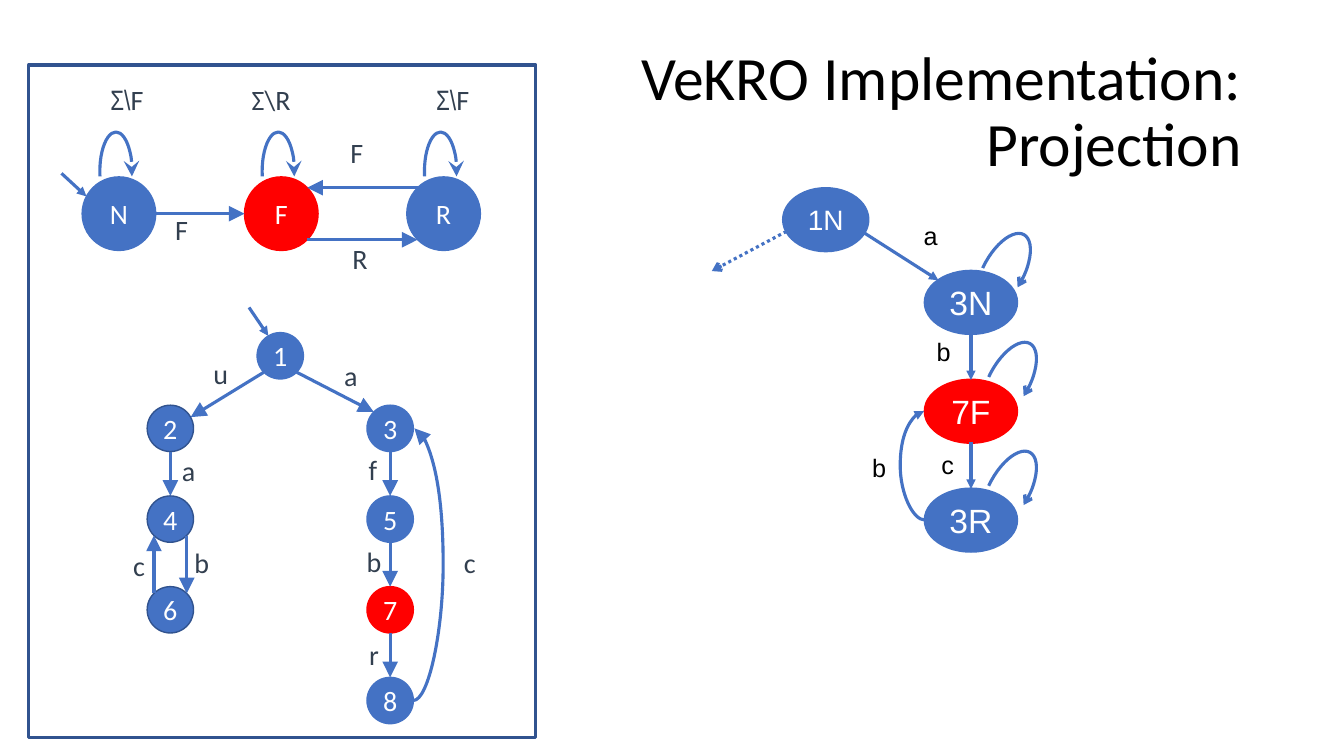
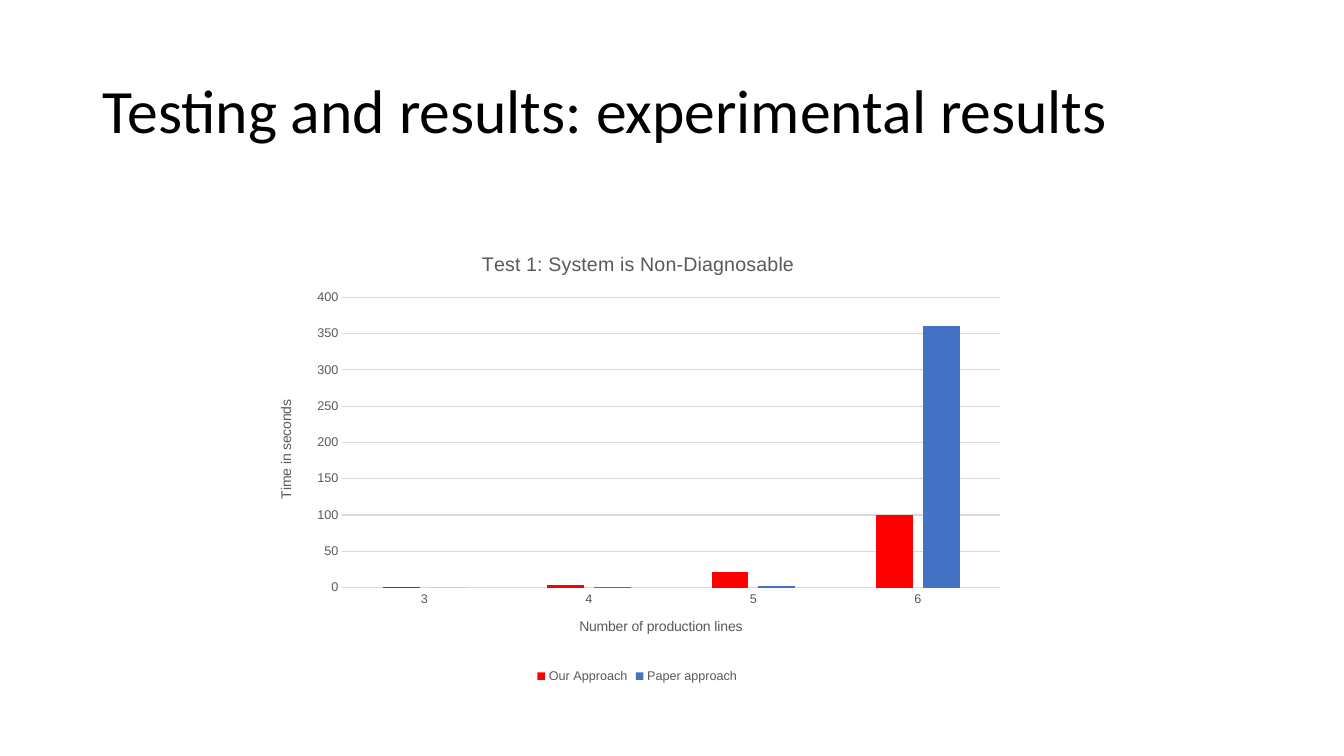
"""Build two slides: state machines with their projection, and a test result chart."""
import math
from dataclasses import dataclass
from typing import Any, NamedTuple

import pptx
import pptx.chart.data
import pptx.dml.color
import pptx.enum.chart
import pptx.enum.dml
import pptx.enum.shapes
import pptx.enum.text
import pptx.oxml
import pptx.oxml.ns
import pptx.util

RGB = pptx.dml.color.RGBColor
BLUE = RGB(0x44, 0x72, 0xC4)
NAVY = RGB(0x31, 0x53, 0x8F)
RED = RGB(0xFF, 0x00, 0x00)
SLATE = RGB(0x32, 0x3F, 0x4F)
GRAY = RGB(0x59, 0x59, 0x59)
GRID_GRAY = RGB(0xD9, 0xD9, 0xD9)
WHITE = RGB(0xFF, 0xFF, 0xFF)
BLACK = RGB(0, 0, 0)
Inches, Pt = pptx.util.Inches, pptx.util.Pt
Align = pptx.enum.text.PP_ALIGN
Preset = pptx.enum.shapes.MSO_SHAPE
Link = pptx.enum.shapes.MSO_CONNECTOR
qn = pptx.oxml.ns.qn


class Point(NamedTuple):
    x: float
    y: float


class Grid(NamedTuple):
    left: float
    top: float
    col: float
    row: float

    def at(self, col: float, row: float) -> Point:
        return Point(self.left + col * self.col, self.top + row * self.row)


MONITOR = Grid(1.18, 2.12, 1.61, 1)
TREE = Grid(1.69, 3.35, 1.09, 0.9)
PROJECTION = Grid(8.19, 3, 1.44, 1.08)


@dataclass(frozen=True)
class Node:
    text: str
    center: Point
    w: float
    h: float
    fill: RGB = BLUE
    line: RGB | None = None
    line_pt: float = 1
    size: float = 20
    font: str = "Calibri"

    def rim(self, angle: float) -> Point:
        a = math.radians(angle)
        return Point(self.center.x + self.w / 2 * math.cos(a),
                     self.center.y + self.h / 2 * math.sin(a))

    def off(self, dx: float, dy: float) -> Point:
        return Point(self.center.x + dx, self.center.y + dy)


@dataclass(frozen=True)
class Edge:
    start: Point
    end: Point
    head: str = "triangle"
    size: str = "lg"
    bulge: float = 0
    dash: bool = False


class Label(NamedTuple):
    runs: tuple[tuple[str, str], ...]
    center: Point
    size: float = 20
    color: RGB = SLATE


def state(text: str, col: float, row: float, fill: RGB = BLUE) -> Node:
    return Node(text, MONITOR.at(col, row), 0.73, 0.73, fill)


def step(text: str, col: float, row: float, fill: RGB = BLUE, line: RGB | None = None) -> Node:
    return Node(text, TREE.at(col, row), 0.46, 0.46, fill, line)


def pair(text: str, col: float, row: float, fill: RGB = BLUE, w: float = 0.91,
         size: float = 24) -> Node:
    return Node(text, PROJECTION.at(col, row), w, 0.62, fill, None, 2, size, "Arial")


NODES = {n.text: n for n in (
    state("N", 0, 0), state("F", 1, 0, RED), state("R", 2, 0),
    step("1", 1, 0.2), step("2", 0, 1, line=NAVY), step("4", 0, 2, line=NAVY),
    step("6", 0, 3, line=NAVY), step("3", 2, 1), step("5", 2, 2),
    step("7", 2, 3, RED), step("8", 2, 4),
    pair("1N", 0, -0.76, w=0.84, size=20), pair("3N", 1, 0),
    pair("7F", 1, 1, RED), pair("3R", 1, 2))}


def join(src: str, out: float, dst: str, into: float, **kw: Any) -> Edge:
    return Edge(NODES[src].rim(out), NODES[dst].rim(into), **kw)


DOWN = (("2", "4", "lg"), ("3", "5", "lg"), ("5", "7", "lg"), ("7", "8", "lg"),
        ("3N", "7F", "med"), ("7F", "3R", "med"))
EDGES = [join(a, 90, b, 270, size=size) for a, b, size in DOWN] + [
    join("N", 0, "F", 180), join("F", 45, "R", 135), join("R", 225, "F", 315),
    join("1", 135, "2", 331), join("1", 45, "3", 225),
    join("4", 45, "6", 315), join("6", 225, "4", 135),
    join("8", 0, "3", 0, bulge=0.3),
    join("1N", 25, "3N", 225, size="med"),
    join("3R", 180, "7F", 180, size="med", bulge=-0.25),
    Edge(NODES["1"].off(-0.31, -0.48), NODES["1"].rim(239), size="med"),
    Edge(NODES["N"].off(-0.57, -0.4), NODES["N"].rim(208), size="med"),
    Edge(NODES["1N"].rim(158), NODES["1N"].off(-1.13, 0.51), "arrow", "med", dash=True)]

LOOPS = [(NODES[n].off(-0.03, -0.42), 0.32, 0.78, 0, "stealth", "lg") for n in "NFR"] + [
    (NODES[n].off(dx, -0.3), 0.4, 0.85, 28.9, "arrow", "med")
    for n, dx in (("3N", 0.32), ("7F", 0.38), ("3R", 0.38))]

LABELS = [Label(((t, "Calibri"),), Point(x, y)) for t, x, y in (
    ("F", 1.8, 2.27), ("F", 3.54, 1.51), ("R", 3.57, 2.56), ("Σ\\R", 2.69, 0.99),
    ("u", 2.19, 3.7), ("a", 3.48, 3.72), ("a", 1.87, 4.67), ("b", 2, 5.58),
    ("c", 1.38, 5.61), ("f", 3.7, 4.66), ("b", 3.71, 5.57), ("r", 3.71, 6.49),
    ("c", 4.66, 5.58))] + [
    Label((("Σ\\", "Arial Narrow"), ("F", "Calibri")), Point(x, 0.99)) for x in (1.26, 4.49)] + [
    Label(((t, "Arial"),), Point(x, y), 18, BLACK) for t, x, y in (
        ("a", 9.23, 2.34), ("b", 9.36, 3.49), ("c", 9.4, 4.61), ("b", 8.72, 4.64))]


def write(p: Any, text: str, *, size: float, color: RGB, font: str = "Calibri",
          align: Any = Align.CENTER) -> None:
    r = p.add_run()
    r.text = text
    r.font.size, r.font.name, r.font.bold = Pt(size), font, False
    r.font.color.rgb = color
    p.alignment = align


def box(center: Point, w: float, h: float) -> list[int]:
    return [Inches(v) for v in (center.x - w / 2, center.y - h / 2, w, h)]


def bare_frame(sp: Any) -> Any:
    tf = sp.text_frame
    tf.margin_left = tf.margin_right = tf.margin_top = tf.margin_bottom = 0
    tf.word_wrap = False
    tf.vertical_anchor = pptx.enum.text.MSO_ANCHOR.MIDDLE
    return tf


def add_outline(s: Any, preset: Any, place: list[int], color: RGB, width: float) -> Any:
    sp = s.shapes.add_shape(preset, *place)
    sp.shadow.inherit = False
    sp.fill.background()
    sp.line.color.rgb, sp.line.width = color, Pt(width)
    return sp


def add_head(sp: Any, kind: str, size: str) -> None:
    ln = sp.line._get_or_add_ln()
    ln.append(ln.makeelement(qn("a:tailEnd"), {"type": kind, "w": size, "len": size}))


def add_node(s: Any, n: Node) -> None:
    sp = add_outline(s, Preset.OVAL, box(n.center, n.w, n.h), n.line or n.fill, n.line_pt)
    sp.fill.solid()
    sp.fill.fore_color.rgb = n.fill
    write(bare_frame(sp).paragraphs[0], n.text, size=n.size, color=WHITE, font=n.font)


def add_edge(s: Any, e: Edge) -> None:
    nudge = math.copysign(0.01, e.bulge) if e.bulge else 0
    sp = s.shapes.add_connector(
        Link.CURVE if e.bulge else Link.STRAIGHT,
        *(Inches(v) for v in (*e.start, e.end.x + nudge, e.end.y)))
    pr = sp._element.spPr
    if e.bulge:
        guides = pr.find(qn("a:prstGeom")).get_or_add_avLst()
        ratio = round(e.bulge / nudge * 100000)
        guides.append(guides.makeelement(qn("a:gd"), {"name": "adj1", "fmla": f"val {ratio}"}))
    sp.line.color.rgb, sp.line.width = BLUE, Pt(2.25)
    if e.dash:
        sp.line.dash_style = pptx.enum.dml.MSO_LINE.ROUND_DOT
    add_head(sp, e.head, e.size)
    pr.append(pr.makeelement(qn("a:effectLst"), {}))


def add_loop(s: Any, center: Point, w: float, h: float, turn: float, head: str, size: str) -> None:
    sp = add_outline(s, Preset.ARC, box(center, w, h), BLUE, 2.25)
    sp.adjustments[0], sp.adjustments[1] = 97.34, 10.59
    sp.rotation = turn
    add_head(sp, head, size)


def add_label(s: Any, label: Label) -> None:
    sp = s.shapes.add_textbox(*box(label.center, 0.5, 0.4))
    p = bare_frame(sp).paragraphs[0]
    for text, font in label.runs:
        write(p, text, size=label.size, color=label.color, font=font)


def add_titled_slide(prs: Any, text: str, left: float, width: float, align: Any) -> Any:
    s = prs.slides.add_slide(prs.slide_layouts[5])
    sp = s.shapes.title
    sp.left, sp.top, sp.width, sp.height = (Inches(v) for v in (left, 0.4, width, 1.45))
    tf = sp.text_frame
    tf.margin_left = tf.margin_right = tf.margin_top = tf.margin_bottom = Inches(0.1)
    tf.auto_size, tf.word_wrap = pptx.enum.text.MSO_AUTO_SIZE.NONE, True
    tf.vertical_anchor = pptx.enum.text.MSO_ANCHOR.MIDDLE
    p = tf.paragraphs[0]
    p.line_spacing = 0.9
    write(p, text, size=44, color=BLACK, align=align)
    return s


def pin(el: Any, index: int, **shares: float) -> None:
    for old in el.findall(qn("c:layout")):
        el.remove(old)
    layout = el.makeelement(qn("c:layout"), {})
    manual = layout.makeelement(qn("c:manualLayout"), {})
    layout.append(manual)
    modes = {"xMode": "edge", "yMode": "edge"}
    if "w" in shares:
        modes = {"layoutTarget": "inner"} | modes
    for tag, val in (modes | shares).items():
        manual.append(manual.makeelement(qn(f"c:{tag}"), {"val": str(val)}))
    el.insert(index, layout)


def style_axis(axis: Any, title: str, x: float, y: float) -> None:
    axis.has_title = True
    write(axis.axis_title.text_frame.paragraphs[0], title, size=10, color=GRAY, font="Arial")
    pin(axis.axis_title._element, 1, x=x, y=y)
    axis.major_tick_mark = axis.minor_tick_mark = pptx.enum.chart.XL_TICK_MARK.NONE
    style_font(axis.tick_labels.font)


def style_font(font: Any) -> None:
    font.size, font.name, font.color.rgb = Pt(9), "Arial", GRAY


def add_results_chart(s: Any) -> None:
    data = pptx.chart.data.CategoryChartData()
    data.categories = ["3", "4", "5", "6"]
    data.add_series("Our Approach", (1, 3, 22, 100))
    data.add_series("Paper approach", (0, 1, 2, 360))
    kind = pptx.enum.chart.XL_CHART_TYPE.COLUMN_CLUSTERED
    chart = s.shapes.add_chart(kind, *(Inches(v) for v in (2.57, 2.32, 7.5, 4.5)), data).chart
    chart.font.size, chart.font.name = Pt(10), "Arial"
    write(chart.chart_title.text_frame.paragraphs[0], "Test 1: System is Non-Diagnosable",
          size=14, color=GRAY, font="Arial")
    pin(chart.chart_title._element, 1, x=0.29, y=0.03)
    plot = chart.plots[0]
    plot.gap_width, plot.overlap, plot.vary_by_categories = 219, -27, False
    for series, color in zip(plot.series, (RED, BLUE)):
        series.format.fill.solid()
        series.format.fill.fore_color.rgb = color
    cat, val = chart.category_axis, chart.value_axis
    style_axis(cat, "Number of production lines", 0.42, 0.84)
    style_axis(val, "Time in seconds", 0.02, 0.36)
    val.minimum_scale, val.maximum_scale, val.major_unit = 0, 400, 50
    val.format.line.fill.background()
    for line in (cat.format.line, val.major_gridlines.format.line):
        line.color.rgb, line.width = GRID_GRAY, Pt(0.75)
    chart.has_legend = True
    chart.legend.position = pptx.enum.chart.XL_LEGEND_POSITION.BOTTOM
    chart.legend.include_in_layout = False
    style_font(chart.legend.font)
    pin(chart._chartSpace.chart.plotArea, 0, x=0.11, y=0.14, w=0.87, h=0.64)


def main() -> None:
    prs = pptx.Presentation()
    prs.slide_width, prs.slide_height = Inches(13.33), Inches(7.5)
    s = add_titled_slide(prs, "VeKRO Implementation: Projection", 5.76, 6.66, Align.RIGHT)
    add_outline(s, Preset.RECTANGLE, box(Point(2.8, 3.98), 5.03, 6.67), NAVY, 2.25)
    for node in NODES.values():
        add_node(s, node)
    for edge in EDGES:
        add_edge(s, edge)
    for loop in LOOPS:
        add_loop(s, *loop)
    for label in LABELS:
        add_label(s, label)
    s = add_titled_slide(prs, "Testing and results: experimental results", 0.92, 11.5, Align.LEFT)
    add_results_chart(s)
    prs.save("out.pptx")


if __name__ == "__main__":
    main()
